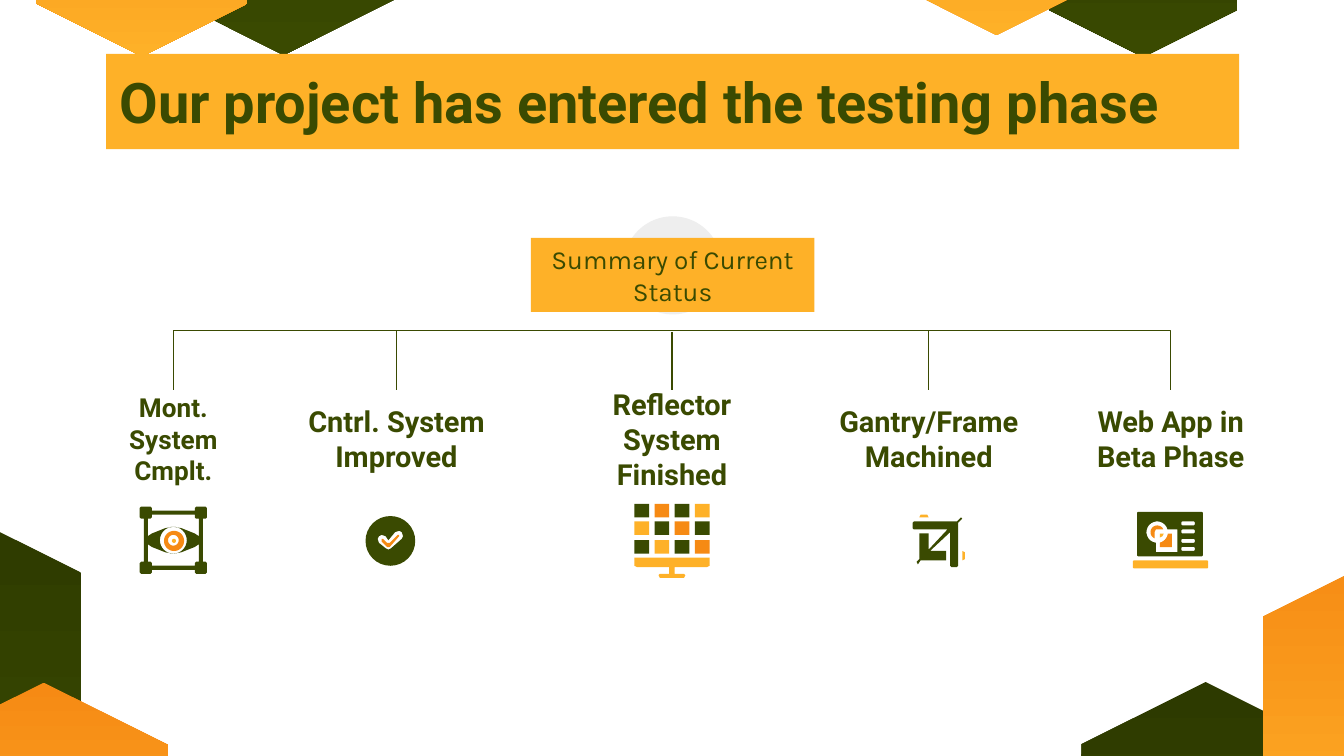
from math import copysign, cos, radians, sin

from lxml.etree import SubElement
from pptx import Presentation
from pptx.dml.color import RGBColor
from pptx.enum.shapes import MSO_CONNECTOR, MSO_SHAPE
from pptx.enum.text import MSO_ANCHOR, PP_ALIGN
from pptx.oxml.ns import qn
from pptx.util import Inches, Pt

GREEN, DEEP_GREEN = "3A4A01", "2D3A00"
YELLOW, ORANGE, GREY = "FEB128", "F68A14", "EEEEEE"


def rgb(value):
    return RGBColor.from_string(value)


def write(shape, text, size=15.5, font="Roboto", bold=True, color=GREEN,
          align=PP_ALIGN.CENTER, anchor=MSO_ANCHOR.MIDDLE):
    frame = shape.text_frame
    frame.word_wrap = True
    frame.vertical_anchor = anchor
    frame.margin_left = frame.margin_right = Inches(0.1)
    frame.margin_top = frame.margin_bottom = Inches(0.1)
    paragraph = frame.paragraphs[0]
    paragraph.alignment = align
    run = paragraph.add_run()
    run.text = text
    run.font.size, run.font.name, run.font.bold = Pt(size), font, bold
    run.font.color.rgb = rgb(color)


# Contours: lists of points in inches
def arc(cx, cy, radius, start, end, steps=16):
    angles = [radians(start + (end - start) * i / steps) for i in range(steps + 1)]
    return [(cx + radius * cos(a), cy + radius * sin(a)) for a in angles]


def rounded(left, top, width, height, radius):
    right, bottom = left + width - radius, top + height - radius
    left, top = left + radius, top + radius
    corners = [(left, top, 180), (right, top, 270), (right, bottom, 0), (left, bottom, 90)]
    return [point for x, y, angle in corners
            for point in arc(x, y, radius, angle, angle + 90, 8)]


def circle(left, top, size):
    return rounded(left, top, size, size, size / 2)


def mirror_x(points):
    return points + [(-x, y) for x, y in reversed(points)]


def mirror_y(points):
    return points + [(x, -y) for x, y in reversed(points)]


class StatusSlide:
    def __init__(self, slide):
        self.shapes = slide.shapes

    def shape(self, kind, left, top, width, height, color):
        shape = self.shapes.add_shape(kind, *map(Inches, (left, top, width, height)))
        return self.paint(shape, color)

    def paint(self, shape, color):
        shape.shadow.inherit = False
        shape.line.fill.background()
        shape.fill.solid()
        shape.fill.fore_color.rgb = rgb(color)
        return shape

    def hexagon(self, left, top, width, height, colors):
        hexagon = self.shape(MSO_SHAPE.HEXAGON, left, top, width, height, colors[0])
        hexagon.rotation = 90
        hexagon.fill.gradient()
        hexagon.fill.gradient_angle = 0
        for stop, color in zip(hexagon.fill.gradient_stops, colors):
            stop.color.rgb = rgb(color)

    def label(self, text, left, top, width, height, **style):
        label = self.shapes.add_textbox(*map(Inches, (left, top, width, height)))
        write(label, text, **style)
        return label

    def line(self, x1, y1, x2, y2, kind=MSO_CONNECTOR.STRAIGHT):
        line = self.shapes.add_connector(kind, *map(Inches, (x1, y1, x2, y2)))
        line.line.color.rgb = rgb(GREEN)
        line.line.width = Pt(0.75)
        properties = line._element.spPr
        SubElement(properties, qn("a:effectLst"))
        if kind == MSO_CONNECTOR.ELBOW:
            properties.find(qn("a:prstGeom")).set("prst", "bentConnector2")
        return line

    def outline(self, color, *contours):
        contours = [[(Inches(x), Inches(y)) for x, y in c] for c in contours]
        builder = self.shapes.build_freeform(*contours[0][0])
        for contour in contours:
            if contour is not contours[0]:
                builder.move_to(*contour[0])
            builder.add_line_segments(contour[1:], close=True)
        return self.paint(builder.convert_to_shape(), color)

    def icon(self, *parts):
        self.shapes.add_group_shape(shapes=parts)


def draw_icons(page):
    # Monitor with a grid of tiles
    tiles = [(GREEN, ORANGE, GREEN, YELLOW),
             (YELLOW, GREEN, ORANGE, GREEN),
             (GREEN, YELLOW, GREEN, ORANGE)]
    page.icon(
        page.outline(YELLOW, [
            (4.72, 4.15), (4.72, 4.21), (4.74, 4.22), (4.98, 4.22), (4.98, 4.27),
            (4.91, 4.27), (4.9, 4.28), (4.91, 4.3), (5.09, 4.3), (5.1, 4.28),
            (5.09, 4.27), (5.02, 4.27), (5.02, 4.22), (5.26, 4.22), (5.28, 4.21),
            (5.28, 4.15)]),
        *[page.shape(MSO_SHAPE.RECTANGLE, 4.72 + 0.15 * column, top, 0.11, 0.1, color)
          for top, row in zip((3.75, 3.88, 4.02), tiles)
          for column, color in enumerate(row)])

    # Laptop with shapes and text lines on its screen
    badge = (8.61, 3.96)
    text_lines = [rounded(8.79, top, 0.1, 0.03, 0.01) for top in (3.88, 3.94, 4.01, 4.07)]
    page.icon(
        page.outline(YELLOW, [(8.63, 3.97), (8.63, 4), (8.65, 3.99), (8.66, 3.97)]),
        page.outline(ORANGE, arc(*badge, 0.08, 7, 75)
                     + [(8.63, 4.07), (8.72, 4.07), (8.72, 3.97)]),
        page.outline(ORANGE, arc(*badge, 0.05, -24, -247)
                     + [(8.59, 3.96), (8.6, 3.94), (8.61, 3.94)]),
        page.outline(GREEN, rounded(8.46, 3.81, 0.49, 0.33, 0.01),
                     arc(*badge, 0.08, -14, -263)
                     + [(8.6, 4.11), (8.76, 4.11), (8.76, 3.94)], *text_lines),
        page.outline(YELLOW, rounded(8.43, 4.17, 0.56, 0.06, 0.01)))

    # Eye in a frame with four handles, laid out around its centre
    def centred(points):
        return [(1.29 + x, 4.02 + y) for x, y in points]

    frame = mirror_x(mirror_y([(0.16, -0.22), (0.16, -0.24), (0.17, -0.25), (0.24, -0.25),
                               (0.25, -0.24), (0.25, -0.17), (0.24, -0.16), (0.22, -0.16)]))
    above = mirror_x([(0.16, -0.19), (0.16, -0.17), (0.17, -0.16), (0.19, -0.16),
                      (0.19, -0.03), (0.16, -0.05), (0.11, -0.07), (0.06, -0.09), (0, -0.1)])
    below = [(x, -y) for x, y in above]
    page.icon(
        page.outline(GREEN, *map(centred, (frame, above, below)), circle(1.19, 3.92, 0.2)),
        page.outline(ORANGE, circle(1.22, 3.95, 0.15), circle(1.25, 3.98, 0.08)),
        page.outline(YELLOW, circle(1.28, 4.01, 0.03)))

    # Check mark in a disk
    page.icon(
        page.outline(GREEN, circle(2.72, 3.84, 0.37), [
            (2.94, 3.96), (2.97, 3.95), (2.99, 3.96), (3, 3.99), (2.99, 4.01),
            (2.91, 4.08), (2.89, 4.09), (2.87, 4.08), (2.82, 4.04), (2.81, 4.01),
            (2.82, 3.99), (2.84, 3.98), (2.87, 3.99), (2.89, 4.02)]),
        page.outline(ORANGE, [
            (2.96, 3.98), (2.97, 3.98), (2.97, 3.99), (2.9, 4.07), (2.88, 4.07),
            (2.84, 4.03), (2.84, 4.01), (2.85, 4.01), (2.88, 4.04), (2.9, 4.04)]))

    # Crop tool
    page.icon(
        page.outline(YELLOW, [(6.84, 3.85), (6.85, 3.83), (6.9, 3.83), (6.91, 3.85)]),
        page.outline(GREEN, [
            (7.15, 3.85), (7.12, 3.88), (6.8, 3.88), (6.79, 3.89), (6.79, 3.93),
            (6.8, 3.94), (7.05, 3.94), (6.91, 4.09), (6.91, 3.97), (6.84, 3.97),
            (6.84, 4.16), (6.82, 4.18), (6.83, 4.2), (6.85, 4.17), (7.04, 4.17),
            (7.04, 4.1), (6.92, 4.1), (7.07, 3.96), (7.07, 4.21), (7.08, 4.22),
            (7.12, 4.22), (7.13, 4.21), (7.13, 3.89), (7.16, 3.86)]),
        page.outline(YELLOW, [(7.16, 4.1), (7.16, 4.17), (7.18, 4.16), (7.18, 4.11)]))


def main():
    deck = Presentation()
    deck.slide_width = Inches(10)
    deck.slide_height = deck.slide_width * 9 // 16
    page = StatusSlide(deck.slides.add_slide(deck.slide_layouts[6]))

    # Corner hexagons
    dark, bright = (DEEP_GREEN, GREEN), (ORANGE, YELLOW)
    for *place, colors in [
            (-1.93, 3.86, 2.72, 2.35, dark), (7.9, 5.22, 2.14, 1.85, dark),
            (1.12, -1.44, 1.98, 1.72, dark), (0.15, -1.27, 1.81, 1.57, bright),
            (7.7, -1.08, 1.61, 1.4, dark), (9.22, 4.2, 2.61, 2.26, bright),
            (6.51, -1.43, 1.81, 1.57, bright), (-0.74, 5.22, 2.13, 1.85, bright)]:
        page.hexagon(*place, colors)

    # Title
    title = page.shape(MSO_SHAPE.RECTANGLE, 0.79, 0.4, 8.43, 0.71, YELLOW)
    write(title, "Our project has entered the testing phase", size=30,
          align=PP_ALIGN.LEFT, anchor=MSO_ANCHOR.TOP)

    # Status tree
    page.shape(MSO_SHAPE.OVAL, 4.64, 1.61, 0.73, 0.73, GREY)
    middle = 5
    for text, centre, width, size in [
            ("Mont. System Cmplt.", 1.29, 1.41, 14),
            ("Cntrl. System Improved", 2.95, 1.53, 15.5),
            ("Reflector System Finished", middle, 1.41, 15.5),
            ("Gantry/Frame Machined", 6.91, 1.78, 15.5),
            ("Web App in Beta Phase", 8.71, 1.41, 15.5)]:
        label = page.label(text, centre - width / 2, 2.9, width, 0.73, size=size)
        if centre == middle:
            page.line(centre, 2.9, centre, 2.47).begin_connect(label, 0)
        else:
            start = centre + copysign(2.11, middle - centre)
            page.line(start, 2.46, centre, 2.9, MSO_CONNECTOR.ELBOW)
    summary = page.shape(MSO_SHAPE.RECTANGLE, 3.95, 1.77, 2.11, 0.55, YELLOW)
    write(summary, "Summary of Current Status", size=14, font="Karla", bold=False)

    draw_icons(page)
    deck.save("out.pptx")


if __name__ == "__main__":
    main()
